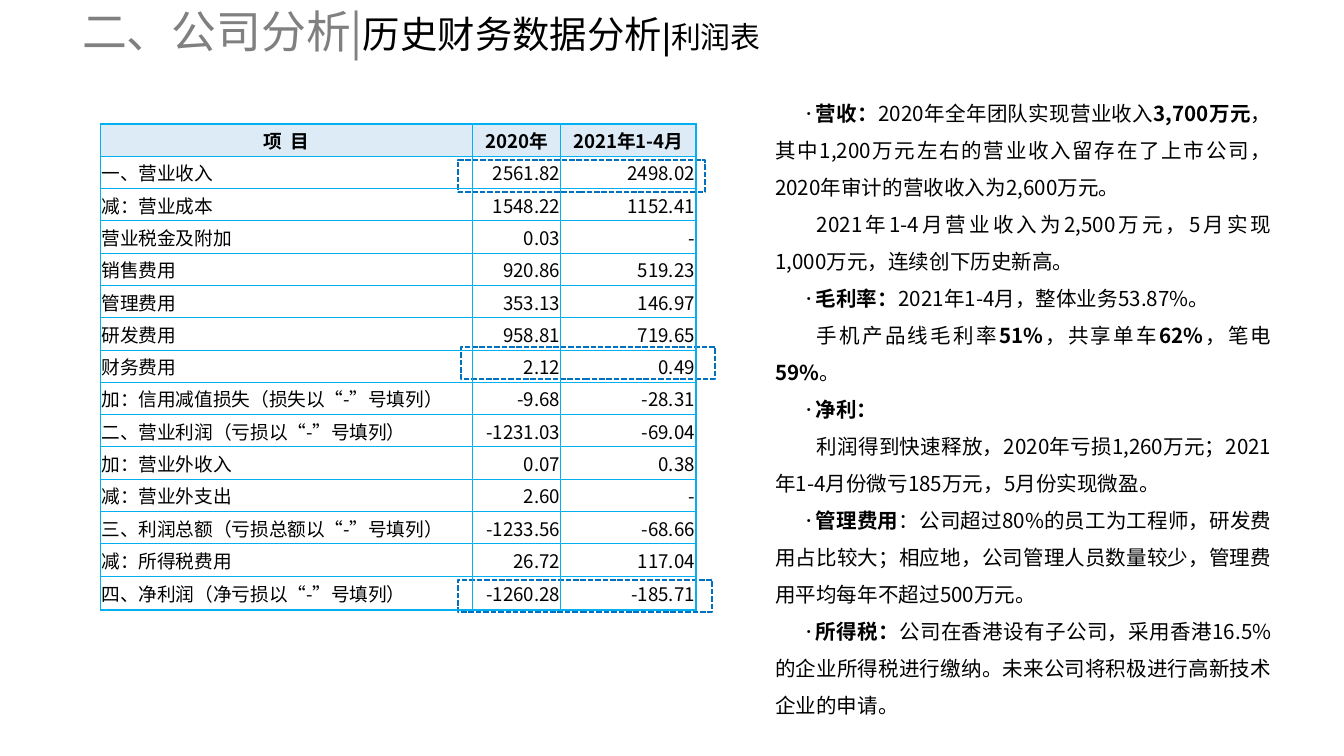
from dataclasses import dataclass

from lxml import etree
from pptx import Presentation
from pptx.dml.color import RGBColor
from pptx.enum.dml import MSO_LINE
from pptx.enum.shapes import MSO_SHAPE
from pptx.enum.text import MSO_ANCHOR, MSO_AUTO_SIZE, PP_ALIGN
from pptx.oxml.ns import qn
from pptx.util import Cm, Pt

LEFT, CENTER, RIGHT = PP_ALIGN.LEFT, PP_ALIGN.CENTER, PP_ALIGN.RIGHT
JUSTIFY = PP_ALIGN.JUSTIFY
MIDDLE, TOP = MSO_ANCHOR.MIDDLE, MSO_ANCHOR.TOP
NO_AUTOFIT = MSO_AUTO_SIZE.NONE
RECTANGLE = MSO_SHAPE.RECTANGLE
DASH = MSO_LINE.SQUARE_DOT
TITLE_ONLY = 5


@dataclass(frozen=True)
class Theme:
    font: str = "Noto Sans CJK SC"
    text: str = "000000"
    muted: str = "808080"
    header: str = "DDEBF7"
    grid: str = "00B0F0"
    highlight: str = "0070C0"
    section_size: int = 24
    heading_size: int = 20
    subheading_size: int = 16
    body_size: int = 11
    table_size: int = 10
    thin: float = 0.5
    thick: float = 1


THEME = Theme()

TITLE_RUNS = [
    ("二、公司分析|", THEME.section_size, THEME.muted, False),
    ("历史财务数据分析", THEME.heading_size, THEME.text, False),
    ("|", THEME.subheading_size, THEME.text, True),
    ("利润表", THEME.subheading_size, THEME.text, False),
]

INCOME_STATEMENT = [
    ("项  目", "2020年", "2021年1-4月"),
    ("一、营业收入", "2561.82", "2498.02"),
    ("减：营业成本", "1548.22", "1152.41"),
    ("营业税金及附加", "0.03", "-"),
    ("销售费用", "920.86", "519.23"),
    ("管理费用", "353.13", "146.97"),
    ("研发费用", "958.81", "719.65"),
    ("财务费用", "2.12", "0.49"),
    ("加：信用减值损失（损失以“-”号填列）", "-9.68", "-28.31"),
    ("二、营业利润（亏损以“-”号填列）", "-1231.03", "-69.04"),
    ("加：营业外收入", "0.07", "0.38"),
    ("减：营业外支出", "2.60", "-"),
    ("三、利润总额（亏损总额以“-”号填列）", "-1233.56", "-68.66"),
    ("减：所得税费用", "26.72", "117.04"),
    ("四、净利润（净亏损以“-”号填列）", "-1260.28", "-185.71"),
]
COLUMN_WIDTHS = (7.03, 1.67, 2.55)
ROW_HEIGHT, LAST_ROW_HEIGHT = 0.61, 0.64

# Text between asterisks is bold; the flag marks a bulleted paragraph.
COMMENTARY = [
    (True, "*营收：*2020年全年团队实现营业收入*3,700万元*，其中1,200万元左右的营业收入"
           "留存在了上市公司，2020年审计的营收收入为2,600万元。"),
    (False, "2021年1-4月营业收入为2,500万元，5月实现1,000万元，连续创下历史新高。"),
    (True, "*毛利率：*2021年1-4月，整体业务53.87%。"),
    (False, "手机产品线毛利率*51%*，共享单车*62%*，笔电*59%*。"),
    (True, "*净利：*"),
    (False, "利润得到快速释放，2020年亏损1,260万元；2021年1-4月份微亏185万元，"
            "5月份实现微盈。"),
    (True, "*管理费用*：公司超过80%的员工为工程师，研发费用占比较大；相应地，"
           "公司管理人员数量较少，管理费用平均每年不超过500万元。"),
    (True, "*所得税：*公司在香港设有子公司，采用香港16.5%的企业所得税进行缴纳。"
           "未来公司将积极进行高新技术企业的申请。"),
]

HIGHLIGHTS = [(8.66, 3.02, 4.67), (8.71, 6.55, 4.8), (8.66, 10.95, 4.8)]


def apply_format(target, values):
    for name, value in values.items():
        setattr(target, name, value)


def add_run(paragraph, text, size, color=THEME.text, bold=False):
    run = paragraph.add_run()
    run.text = text
    apply_format(run.font, {"name": THEME.font, "size": Pt(size), "bold": bold})
    run.font.color.rgb = RGBColor.from_string(color)
    etree.SubElement(run.font._element, qn("a:ea"), typeface=THEME.font)


def set_indent(paragraph, margin, indent):
    properties = paragraph._p.get_or_add_pPr()
    properties.set("marL", str(Cm(margin)))
    properties.set("indent", str(Cm(indent)))
    return properties


def add_title(slide):
    title = slide.shapes.title
    apply_format(title, {"left": Cm(1.27), "top": Cm(0),
                         "width": Cm(22.86), "height": Cm(1.14)})
    apply_format(title.text_frame, {
        "auto_size": NO_AUTOFIT, "vertical_anchor": MIDDLE, "word_wrap": True,
        "margin_left": Cm(0.28), "margin_right": Cm(0.28),
        "margin_top": Cm(0.13), "margin_bottom": Cm(0.13)})
    paragraph = title.text_frame.paragraphs[0]
    paragraph.alignment = LEFT
    set_indent(paragraph, 1.88, -1.88)
    for text, size, color, bold in TITLE_RUNS:
        add_run(paragraph, text, size, color, bold)


def add_commentary(slide):
    frame = slide.shapes.add_textbox(
        Cm(14.4), Cm(1.55), Cm(9.88), Cm(11.43)).text_frame
    apply_format(frame, {"word_wrap": True, "auto_size": NO_AUTOFIT,
                         "vertical_anchor": TOP})
    for index, (bulleted, text) in enumerate(COMMENTARY):
        paragraph = frame.add_paragraph() if index else frame.paragraphs[0]
        properties = set_indent(paragraph, 0, 0.5 if bulleted else 0.79)
        if bulleted:
            etree.SubElement(properties, qn("a:buSzPct"), val="70000")
            etree.SubElement(properties, qn("a:buFont"), typeface=THEME.font)
            etree.SubElement(properties, qn("a:buChar"), char="•")
        apply_format(paragraph, {"alignment": JUSTIFY, "line_spacing": 1.5})
        for position, part in enumerate(text.split("*")):
            if part:
                add_run(paragraph, part, THEME.body_size, bold=position % 2 == 1)


def add_highlight(slide, left, top, width):
    shape = slide.shapes.add_shape(
        RECTANGLE, Cm(left), Cm(top), Cm(width), Cm(ROW_HEIGHT))
    shape.shadow.inherit = False
    shape.fill.background()
    shape.line.color.rgb = RGBColor.from_string(THEME.highlight)
    apply_format(shape.line, {"width": Pt(1), "dash_style": DASH})


def set_borders(cell, outer_sides):
    properties = cell._tc.get_or_add_tcPr()
    for side, is_outer in outer_sides.items():
        width = Pt(THEME.thick if is_outer else THEME.thin)
        line = etree.SubElement(properties, qn(f"a:ln{side}"), w=str(width))
        fill = etree.SubElement(line, qn("a:solidFill"))
        etree.SubElement(fill, qn("a:srgbClr"), val=THEME.grid)


def format_cell(cell, text, is_header, alignment):
    apply_format(cell, {
        "vertical_anchor": MIDDLE, "margin_left": Cm(0.02),
        "margin_right": Cm(0.02), "margin_top": Cm(0.02), "margin_bottom": Cm(0)})
    paragraph = cell.text_frame.paragraphs[0]
    paragraph.alignment = alignment
    add_run(paragraph, text, THEME.table_size, bold=is_header)
    if is_header:
        cell.fill.solid()
        cell.fill.fore_color.rgb = RGBColor.from_string(THEME.header)
    else:
        cell.fill.background()


def add_income_table(slide):
    last_row, last_column = len(INCOME_STATEMENT) - 1, len(COLUMN_WIDTHS) - 1
    table = slide.shapes.add_table(
        last_row + 1, last_column + 1, Cm(1.9), Cm(2.34),
        Cm(sum(COLUMN_WIDTHS)), Cm(ROW_HEIGHT * last_row + LAST_ROW_HEIGHT)).table
    apply_format(table, {"first_row": False, "horz_banding": False})
    for column, width in zip(table.columns, COLUMN_WIDTHS):
        column.width = Cm(width)
    for row_index, values in enumerate(INCOME_STATEMENT):
        is_last = row_index == last_row
        table.rows[row_index].height = Cm(LAST_ROW_HEIGHT if is_last else ROW_HEIGHT)
        for column_index, text in enumerate(values):
            cell = table.cell(row_index, column_index)
            is_header = row_index == 0
            set_borders(cell, {"L": column_index == 0,
                               "R": column_index == last_column,
                               "T": is_header, "B": is_last})
            body_alignment = RIGHT if column_index else LEFT
            format_cell(cell, text, is_header, CENTER if is_header else body_alignment)


def main():
    presentation = Presentation()
    apply_format(presentation, {"slide_width": Cm(25.4), "slide_height": Cm(14.28)})
    slide = presentation.slides.add_slide(presentation.slide_layouts[TITLE_ONLY])
    add_title(slide)
    add_commentary(slide)
    for highlight in HIGHLIGHTS:
        add_highlight(slide, *highlight)
    add_income_table(slide)
    presentation.save("out.pptx")


if __name__ == "__main__":
    main()
